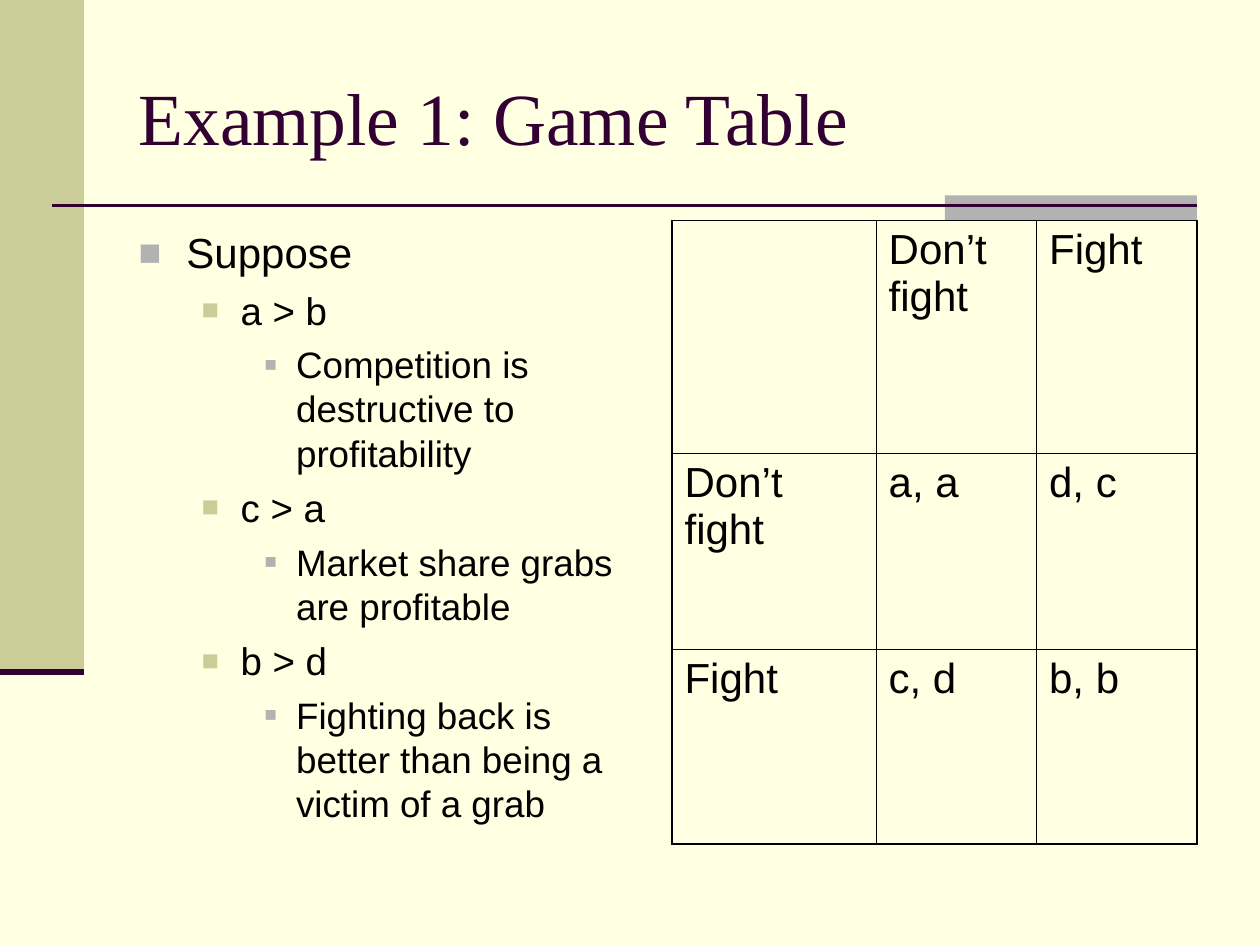
from dataclasses import dataclass

from lxml.etree import SubElement
from pptx import Presentation
from pptx.dml.color import RGBColor
from pptx.enum.shapes import MSO_CONNECTOR, MSO_SHAPE
from pptx.enum.text import MSO_ANCHOR, MSO_AUTO_SIZE, PP_ALIGN
from pptx.oxml.ns import qn
from pptx.util import Inches, Pt


@dataclass(frozen=True)
class Level:
    size: int
    before: float
    margin: float
    hanging: float
    bullet_color: str
    bullet_share: int


@dataclass(frozen=True)
class Theme:
    paper: str = "FFFFE1"
    khaki: str = "CCCC99"
    gray: str = "B2B2B2"
    plum: str = "330033"
    ink: str = "000000"
    heading_font: str = "Times New Roman"
    text_font: str = "Arial"
    heading_size: int = 42
    cell_size: int = 24
    frame: float = 1.08
    hairline: float = 0.45

    @property
    def levels(self):
        return (
            Level(24, 6, 0.38, 0.38, self.gray, 90),
            Level(22, 5.5, 0.81, 0.31, self.khaki, 75),
            Level(21, 5.2, 1.25, 0.25, self.gray, 55),
        )


THEME = Theme()
WIDTH, HEIGHT = Inches(10), Inches(7.5)
COLUMNS, ROWS = 60, 150

ASSUMPTIONS = (
    (0, "Suppose"),
    (1, "a > b"),
    (2, "Competition is destructive to profitability"),
    (1, "c > a"),
    (2, "Market share grabs are profitable"),
    (1, "b > d"),
    (2, "Fighting back is better than being a victim of a grab"),
)
PAYOFFS = (
    ("", "Don’t fight", "Fight"),
    ("Don’t fight", "a, a", "d, c"),
    ("Fight", "c, d", "b, b"),
)


def col(count):
    return round(WIDTH * count / COLUMNS)


def row(count):
    return round(HEIGHT * count / ROWS)


def box(left, top, width, height):
    return col(left), row(top), col(width), row(height)


def rgb(value):
    return RGBColor.from_string(value)


def add_text(paragraph, text, size, font, color):
    run = paragraph.add_run()
    run.text = text
    run.font.size = Pt(size)
    run.font.name = font
    run.font.color.rgb = rgb(color)


def add_panel(slide, area, color):
    panel = slide.shapes.add_shape(MSO_SHAPE.RECTANGLE, *area)
    panel.shadow.inherit = False
    panel.fill.solid()
    panel.fill.fore_color.rgb = rgb(color)
    panel.line.fill.background()
    slide.shapes.title.element.addprevious(panel.element)


def add_rule(slide, start, end, level, weight):
    rule = slide.shapes.add_connector(
        MSO_CONNECTOR.STRAIGHT, col(start), row(level), col(end), row(level))
    rule.line.color.rgb = rgb(THEME.plum)
    rule.line.width = Pt(weight)
    SubElement(rule.element.spPr, qn("a:effectLst"))
    slide.shapes.title.element.addprevious(rule.element)


def place(placeholder, area, anchor):
    placeholder.left, placeholder.top, placeholder.width, placeholder.height = area
    frame = placeholder.text_frame
    frame.word_wrap = True
    frame.auto_size = MSO_AUTO_SIZE.NONE
    frame.vertical_anchor = anchor
    return frame


def fill_title(slide, text):
    frame = place(slide.shapes.title, box(6, 6, 51, 25), MSO_ANCHOR.MIDDLE)
    heading = frame.paragraphs[0]
    heading.alignment = PP_ALIGN.LEFT
    add_text(heading, text, THEME.heading_size, THEME.heading_font, THEME.plum)


def set_bullet(paragraph, level):
    properties = paragraph._p.get_or_add_pPr()
    properties.set("marL", str(Inches(level.margin)))
    properties.set("indent", str(-Inches(level.hanging)))
    color = SubElement(properties, qn("a:buClr"))
    SubElement(color, qn("a:srgbClr"), val=level.bullet_color)
    SubElement(properties, qn("a:buSzPct"), val=str(level.bullet_share * 1000))
    SubElement(properties, qn("a:buFont"), typeface=THEME.text_font)
    SubElement(properties, qn("a:buChar"), char="■")


def fill_assumptions(slide, assumptions):
    frame = place(slide.placeholders[1], box(6, 35, 25, 99), MSO_ANCHOR.TOP)
    for index, (depth, text) in enumerate(assumptions):
        point = frame.add_paragraph() if index else frame.paragraphs[0]
        level = THEME.levels[depth]
        point.level = depth
        point.space_before = Pt(level.before)
        set_bullet(point, level)
        add_text(point, text, level.size, THEME.text_font, THEME.ink)


def set_borders(cell, outer_sides):
    properties = cell._tc.get_or_add_tcPr()
    for side, outer in outer_sides.items():
        weight = THEME.frame if outer else THEME.hairline
        border = SubElement(properties, qn(f"a:ln{side}"), w=str(Pt(weight)))
        fill = SubElement(border, qn("a:solidFill"))
        SubElement(fill, qn("a:srgbClr"), val=THEME.ink)


def add_game(slide, payoffs, widths, heights):
    area = box(32, 35, sum(widths), sum(heights))
    game = slide.shapes.add_table(len(heights), len(widths), *area).table
    game.first_row = game.horz_banding = False
    for strategy, width in zip(game.columns, widths):
        strategy.width = col(width)
    for strategy, height in zip(game.rows, heights):
        strategy.height = row(height)
    for r, outcomes in enumerate(payoffs):
        for c, outcome in enumerate(outcomes):
            cell = game.cell(r, c)
            set_borders(cell, {"L": c == 0, "R": c == len(widths) - 1,
                               "T": r == 0, "B": r == len(heights) - 1})
            cell.fill.background()
            if outcome:
                entry = cell.text_frame.paragraphs[0]
                entry.space_before = Pt(6)
                add_text(entry, outcome, THEME.cell_size, THEME.text_font, THEME.ink)


def main():
    deck = Presentation()
    deck.slide_width, deck.slide_height = WIDTH, HEIGHT
    slide = deck.slides.add_slide(deck.slide_layouts[1])
    slide.background.fill.solid()
    slide.background.fill.fore_color.rgb = rgb(THEME.paper)
    add_panel(slide, box(0, 0, 4, 106.6), THEME.khaki)
    add_panel(slide, box(45, 31, 12, 4), THEME.gray)
    add_rule(slide, 2.5, 57, 32.6, 1.5)
    add_rule(slide, 0, 4, 106.6, 3.5)
    fill_title(slide, "Example 1: Game Table")
    fill_assumptions(slide, ASSUMPTIONS)
    add_game(slide, PAYOFFS, widths=(9.72, 7.64, 7.64), heights=(37, 31, 31))
    deck.save("out.pptx")


main()
